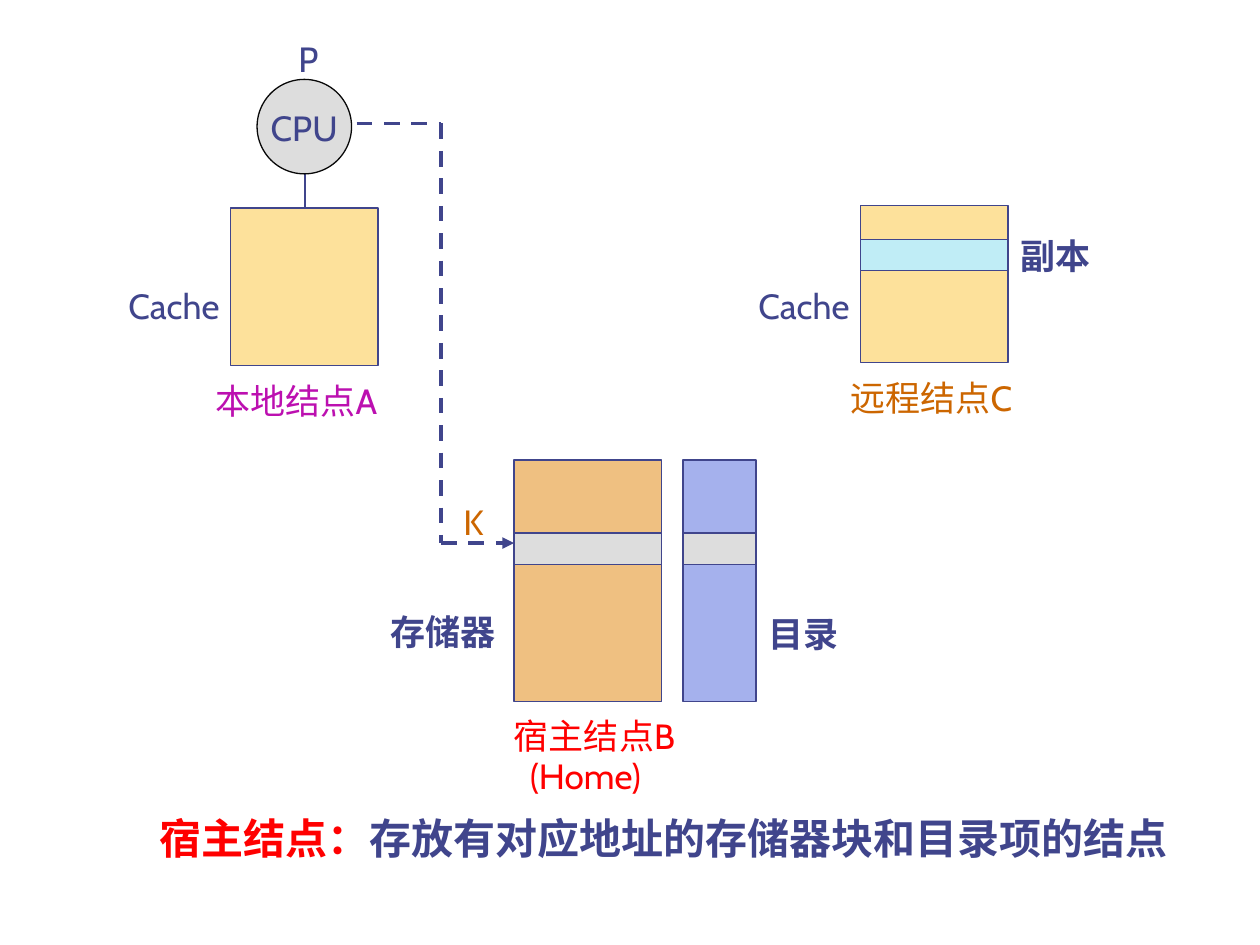
from lxml.etree import SubElement as Sub
from pptx import Presentation as Deck
from pptx.dml.color import RGBColor as Rgb
from pptx.enum.dml import MSO_LINE as Dash
from pptx.enum.shapes import MSO_CONNECTOR as Link, MSO_SHAPE as Form
from pptx.oxml.ns import qn
from pptx.util import Emu, Pt

SCALE = 9144
NAVY, RED, BROWN, PLUM = "40458C", "FF0000", "CC6600", "BC10B0"
SAND, GREY, TAN, BLUE, AQUA = "FDE19B", "DDDDDD", "EFC081", "A5B1ED", "C0EDF6"
LATIN, HAN = "Cabin", "Noto Sans CJK SC"


def px(*nums):
    return [Emu(n * SCALE) for n in nums]


def tint(code):
    return Rgb.from_string(code)


def apply(item, style):
    for key, value in style.items():
        setattr(item, key, value)


class Board:
    frame = {"word_wrap": True}
    body = {"name": LATIN, "size": Pt(20), "bold": False}
    thick = {"width": Pt(2.25), "dash_style": Dash.DASH}
    thin = {"width": Pt(0.75)}

    def __init__(self, deck):
        self.slide = deck.slides.add_slide(deck.slide_layouts[6])
        self.shapes = self.slide.shapes

    def block(self, left, top, wide, high, fill, edge=NAVY, form=Form.RECTANGLE):
        shape = self.shapes.add_shape(form, *px(left, top, wide, high))
        shape.shadow.inherit = False
        shape.fill.solid()
        shape.fill.fore_color.rgb = tint(fill)
        shape.line.color.rgb = tint(edge)
        apply(shape.line, self.thin)

    def line(self, start, end, style, arrow=False):
        link = self.shapes.add_connector(Link.STRAIGHT, *px(*start, *end))
        link.line.color.rgb = tint(NAVY)
        apply(link.line, style)
        if arrow:
            Sub(link.line._get_or_add_ln(), qn("a:tailEnd"), type="triangle")
        Sub(link._element.spPr, qn("a:effectLst"))

    def text(self, left, top, wide, high, parts, space=1.0, **style):
        frame = self.shapes.add_textbox(*px(left, top, wide, high)).text_frame
        apply(frame, self.frame)
        para = frame.paragraphs[0]
        para.line_spacing = space
        for words, color, face in parts:
            run = para.add_run()
            run.text = words
            apply(run.font, {**self.body, "name": face, **style})
            run.font.color.rgb = tint(color)
            Sub(run.font._element, qn("a:ea"), typeface=HAN)

    def label(self, left, top, wide, words, color=NAVY, high=44, **style):
        self.text(left, top, wide, high, [(words, color, LATIN)], **style)


def main():
    deck = Deck()
    apply(deck, dict(zip(("slide_width", "slide_height"), px(1000, 750))))
    board = Board(deck)

    board.line((242, 132), (242, 166), board.thin)
    board.block(204, 63, 75, 75, GREY, "080808", Form.OVAL)
    board.label(205, 80, 83, "CPU")
    board.label(227, 25, 50, "P")

    for left, top in ((183, 165), (683, 163)):
        board.block(left, top, 117, 125, SAND)
        board.label(left - 91, 221, 117, "Cache")
    board.block(683, 190, 117, 25, AQUA)
    board.label(800, 181, 100, "副本", bold=True)

    for left, wide, fill in ((408, 117, TAN), (542, 58, BLUE)):
        board.block(left, 365, wide, 192, fill)
        board.block(left, 423, wide, 25, GREY)
    board.label(300, 480, 108, "存储器", bold=True)
    board.label(600, 481, 100, "目录", bold=True)

    board.label(161, 296, 168, "本地结点A", PLUM)
    board.label(665, 294, 156, "远程结点C", BROWN)
    board.label(398, 566, 158, "宿主结点B", RED, high=40, space=0.9)
    board.label(411, 598, 142, "(Home)", RED, high=40, space=0.9)

    route = [(283, 98), (350, 98), (350, 431), (408, 431)]
    for start, end in zip(route, route[1:]):
        board.line(start, end, board.thick, end == route[-1])
    board.label(358, 392, 42, "K", BROWN)

    parts = [("宿主结点：", RED, LATIN),
             ("存放有对应地址的存储器块和目录项的结点", NAVY, HAN)]
    board.text(117, 648, 840, 42, parts, 0.8, size=Pt(24), bold=True)
    deck.save("out.pptx")


if __name__ == "__main__":
    main()
